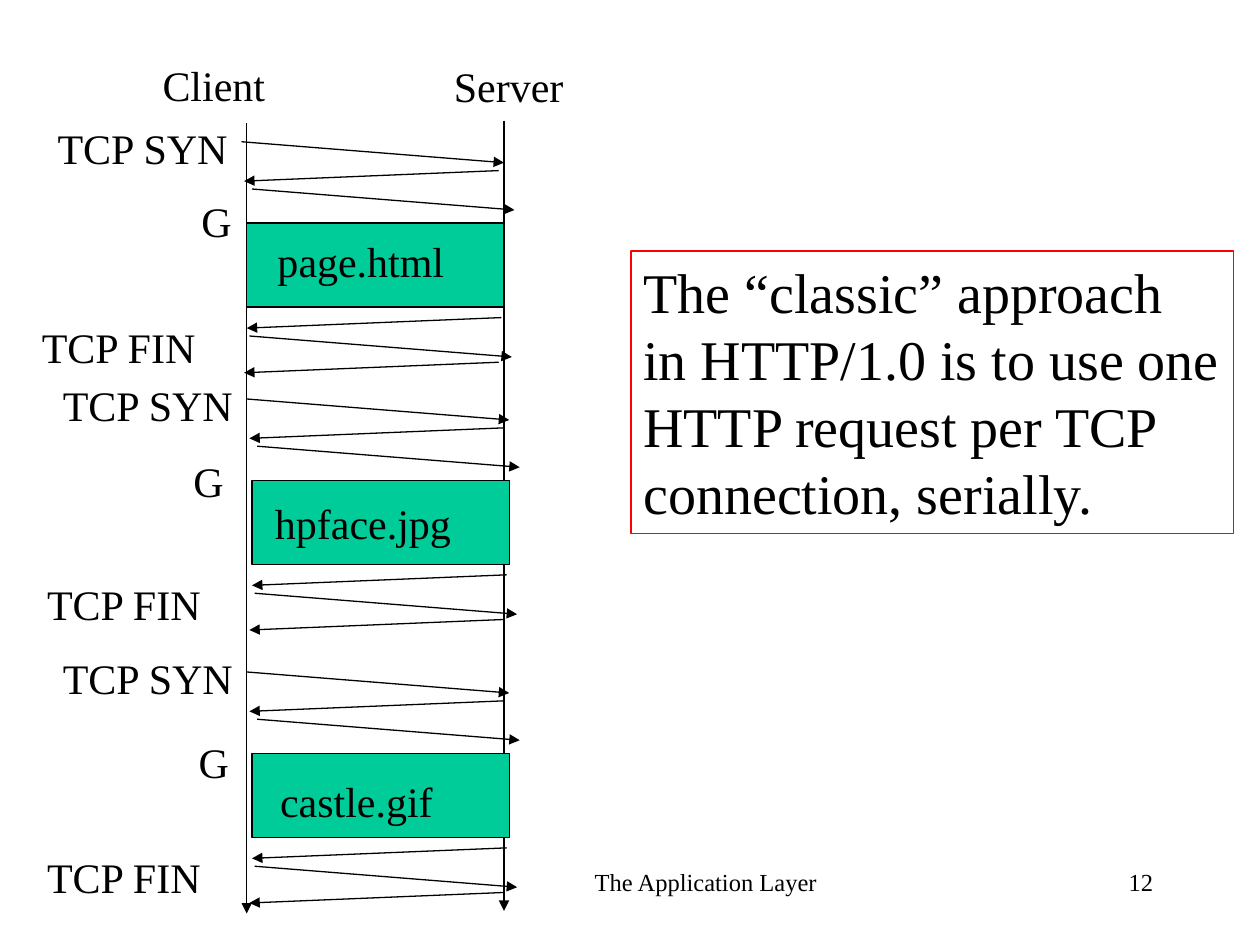
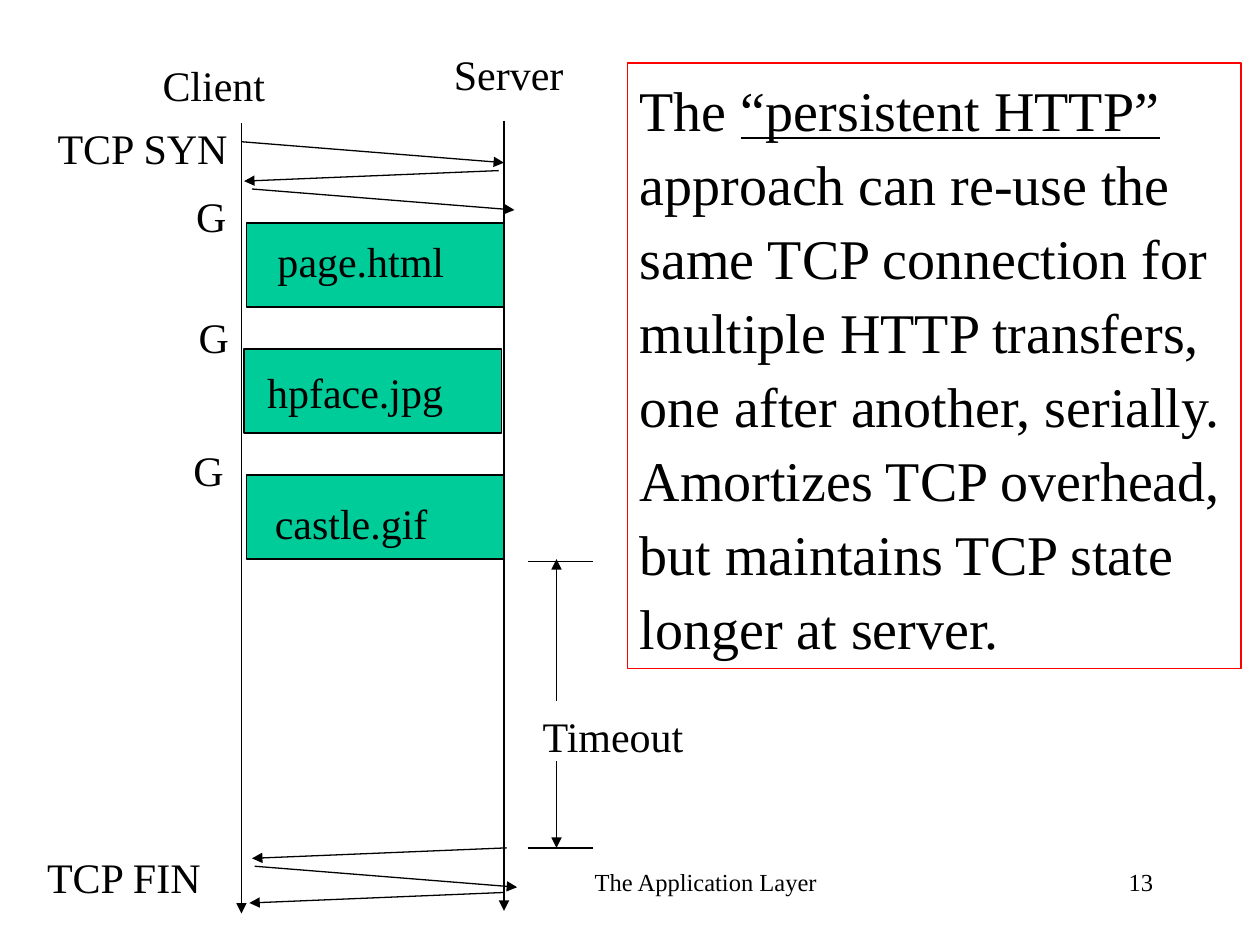
import pptx
import pptx.util
import pptx.dml.color
import pptx.enum.shapes
import pptx.enum.text
import pptx.oxml
import pptx.oxml.ns
from dataclasses import dataclass


@dataclass(frozen=True)
class Theme:
    font: str = "Times New Roman"
    ink: str = "000000"
    transfer: str = "00CC99"
    callout: str = "FF0000"
    label_size: int = 24
    callout_size: int = 32
    footer_size: int = 14
    line_width: float = 0.75


THEME = Theme()
SLIDE_COLUMNS, SLIDE_ROWS = 240, 180  # grid of 24 cells to the inch
CELL = pptx.util.Inches(10) / SLIDE_COLUMNS
LABEL_ROWS = 12

# Content: all places are in grid cells
FOOTER = "The Application Layer"
SERVER_COLUMN = 96
# Requested file: label place and width, measured from the exchange's origin
FILES = {
    "page.html": (4.5, 16.7, 36.6),
    "hpface.jpg": (3, 17.6, 38.5),
    "castle.gif": (4, 18.6, 34.2),
}
# Messages of one connection, measured from its origin
OPENING = [(0, 0, 50, 4), (49, 5.5, 0.5, 7.5), (2, 9, 52, 13)]
CLOSING = [(49.5, 33.5, 1, 35.5), (1.5, 37, 51.5, 41), (49, 42, 0.5, 44)]
SYN_LABEL = ("TCP SYN", -37.4, -4.9, 37.5)
FIN_LABEL = ("TCP FIN", -40.4, 33.1, 34.3)
TRANSFER = (1, 15.5, 49, 16)

SLIDES = [
    {
        "number": "12",
        "client column": 47,
        "server label row": 10.3,
        "openings": [(46, 27), (47, 76), (47, 128)],
        "closings": [(46, 27), (47, 76), (47, 128)],
        # file, origin, place of the request label
        "transfers": [
            ("page.html", (46, 27), (-10, 9)),
            ("hpface.jpg", (47, 76), (-12.5, 9.6)),
            ("castle.gif", (47, 128), (-11.5, 11.2)),
        ],
        "callout": (120.2, 47.8, 114.8, 53.8),
        "line spacing": None,
        "lines": [
            ["The “classic” approach"],
            ["in HTTP/1.0 is to use one"],
            ["HTTP request per TCP"],
            ["connection, serially."],
        ],
    },
    {
        "number": "13",
        "client column": 46,
        "server label row": 8.1,
        "openings": [(46, 27)],
        "closings": [(47, 128)],
        "transfers": [
            ("page.html", (46, 27), (-11, 8.1)),
            ("hpface.jpg", (45.5, 51), (-10, 7.1)),
            ("castle.gif", (46, 75), (-11.5, 8.5)),
        ],
        "callout": (119.5, 12, 116.9, 115.4),
        "line spacing": 1.1,
        "lines": [
            ["The ", ("“persistent HTTP”", True)],
            ["approach can re-use the"],
            ["same TCP connection for"],
            ["multiple HTTP transfers,"],
            ["one after another, serially."],
            ["Amortizes TCP overhead,"],
            ["but maintains TCP state"],
            ["longer at server."],
        ],
        "timeout": {
            "label": ("Timeout", 101, 134.2, 32),
            "arrows": [(106, 133.5, 106, 106.5), (106, 145, 106, 161.5)],
            "limits": [(100.5, 107, 113, 107), (100.5, 161.5, 113, 161.5)],
        },
    },
]


# Drawing helpers
def cells(*lengths):
    return [round(length * CELL) for length in lengths]


def color(value):
    return pptx.dml.color.RGBColor.from_string(value)


def style_line(line, value=THEME.ink):
    line.color.rgb = color(value)
    line.width = pptx.util.Pt(THEME.line_width)


def write(frame, lines, size, align="LEFT", wrap=False, spacing=None):
    frame.word_wrap = wrap
    if not wrap:
        # Unwrapped text grows its box instead of breaking a word
        frame.auto_size = pptx.enum.text.MSO_AUTO_SIZE.SHAPE_TO_FIT_TEXT
    frame.vertical_anchor = pptx.enum.text.MSO_ANCHOR.TOP
    for index, line in enumerate(lines):
        paragraph = frame.add_paragraph() if index else frame.paragraphs[0]
        paragraph.alignment = getattr(pptx.enum.text.PP_ALIGN, align)
        if spacing:
            paragraph.line_spacing = spacing
        for part in line:
            words, underlined = (part, False) if isinstance(part, str) else part
            run = paragraph.add_run()
            run.text = words
            run.font.name = THEME.font
            run.font.size = pptx.util.Pt(size)
            run.font.color.rgb = color(THEME.ink)
            if underlined:
                run.font.underline = True


def add_label(slide, words, column, row, width, size=THEME.label_size, **layout):
    box = slide.shapes.add_textbox(*cells(column, row, width, LABEL_ROWS))
    write(box.text_frame, [[words]], size, **layout)


def add_line(slide, ends, origin=(0, 0), arrow=True):
    x, y = origin
    x1, y1, x2, y2 = ends
    line = slide.shapes.add_connector(
        pptx.enum.shapes.MSO_CONNECTOR.STRAIGHT, *cells(x + x1, y + y1, x + x2, y + y2))
    style_line(line.line)
    properties = line._element.spPr
    if arrow:
        head = pptx.oxml.parse_xml(
            f'<a:tailEnd {pptx.oxml.ns.nsdecls("a")} type="triangle"/>')
        line.line._get_or_add_ln().append(head)
    properties.append(pptx.oxml.parse_xml(f'<a:effectLst {pptx.oxml.ns.nsdecls("a")}/>'))


def add_box(slide, place, fill=None, outline=THEME.ink):
    box = slide.shapes.add_shape(pptx.enum.shapes.MSO_SHAPE.RECTANGLE, *cells(*place))
    box.shadow.inherit = False
    if fill:
        box.fill.solid()
        box.fill.fore_color.rgb = color(fill)
    else:
        box.fill.background()
    style_line(box.line, outline)
    return box


# Parts of the timing diagram
def add_messages(slide, origin, messages, label):
    for message in messages:
        add_line(slide, message, origin)
    words, dx, dy, width = label
    add_label(slide, words, origin[0] + dx, origin[1] + dy, width)


def add_transfer(slide, file, origin, request):
    x, y = origin
    dx, dy, width, height = TRANSFER
    add_box(slide, (x + dx, y + dy, width, height), THEME.transfer)
    dx, dy, width = FILES[file]
    add_label(slide, file, x + dx, y + dy, width)
    add_label(slide, "G", x + request[0], y + request[1], 10.6)


def add_timeout(slide, timeout):
    add_label(slide, *timeout["label"])
    for arrow in timeout["arrows"]:
        add_line(slide, arrow)
    for limit in timeout["limits"]:
        add_line(slide, limit, arrow=False)


def build_slide(deck, content):
    slide = deck.slides.add_slide(deck.slide_layouts[6])

    # Lifelines and their titles
    client = content["client column"]
    add_line(slide, (client, 23.5, client, 174))
    add_line(slide, (SERVER_COLUMN, 23, SERVER_COLUMN, 173.5))
    add_label(slide, "Client", 28.6, 10.1, 24.3)
    add_label(slide, "Server", 84.1, content["server label row"], 25.7)

    # Explanation
    callout = add_box(slide, content["callout"], outline=THEME.callout)
    write(callout.text_frame, content["lines"], THEME.callout_size,
          spacing=content["line spacing"])

    # Exchanges
    for origin in content["openings"]:
        add_messages(slide, origin, OPENING, SYN_LABEL)
    for transfer in content["transfers"]:
        add_transfer(slide, *transfer)
    for origin in content["closings"]:
        add_messages(slide, origin, CLOSING, FIN_LABEL)
    if "timeout" in content:
        add_timeout(slide, content["timeout"])

    # Footer
    for words, column, width in ((FOOTER, 82, 76), (content["number"], 172, 50)):
        add_label(slide, words, column, 164, width, THEME.footer_size,
                  align="RIGHT", wrap=True)


def main():
    deck = pptx.Presentation()
    deck.slide_width, deck.slide_height = cells(SLIDE_COLUMNS, SLIDE_ROWS)
    for content in SLIDES:
        build_slide(deck, content)
    deck.save("out.pptx")


if __name__ == "__main__":
    main()
